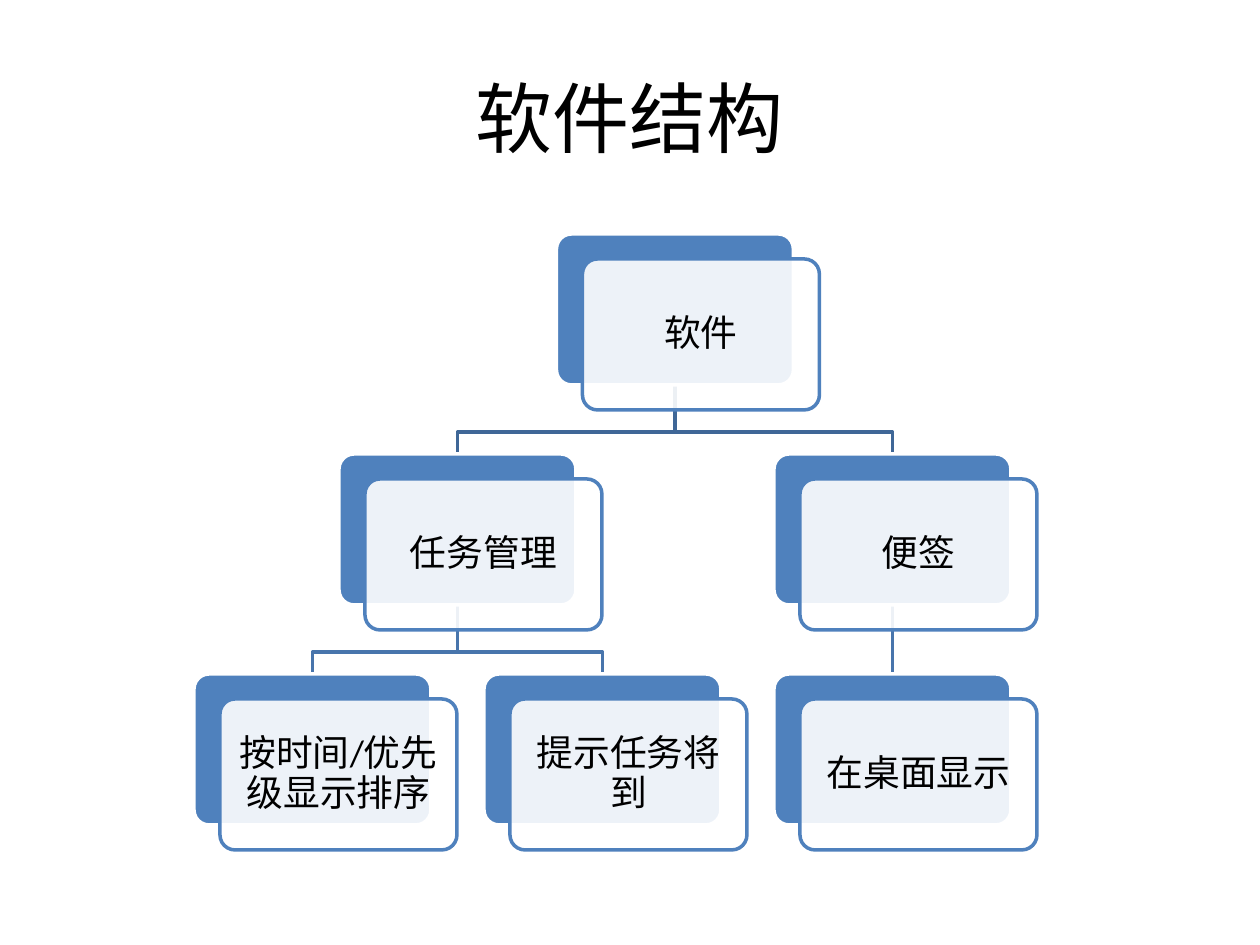
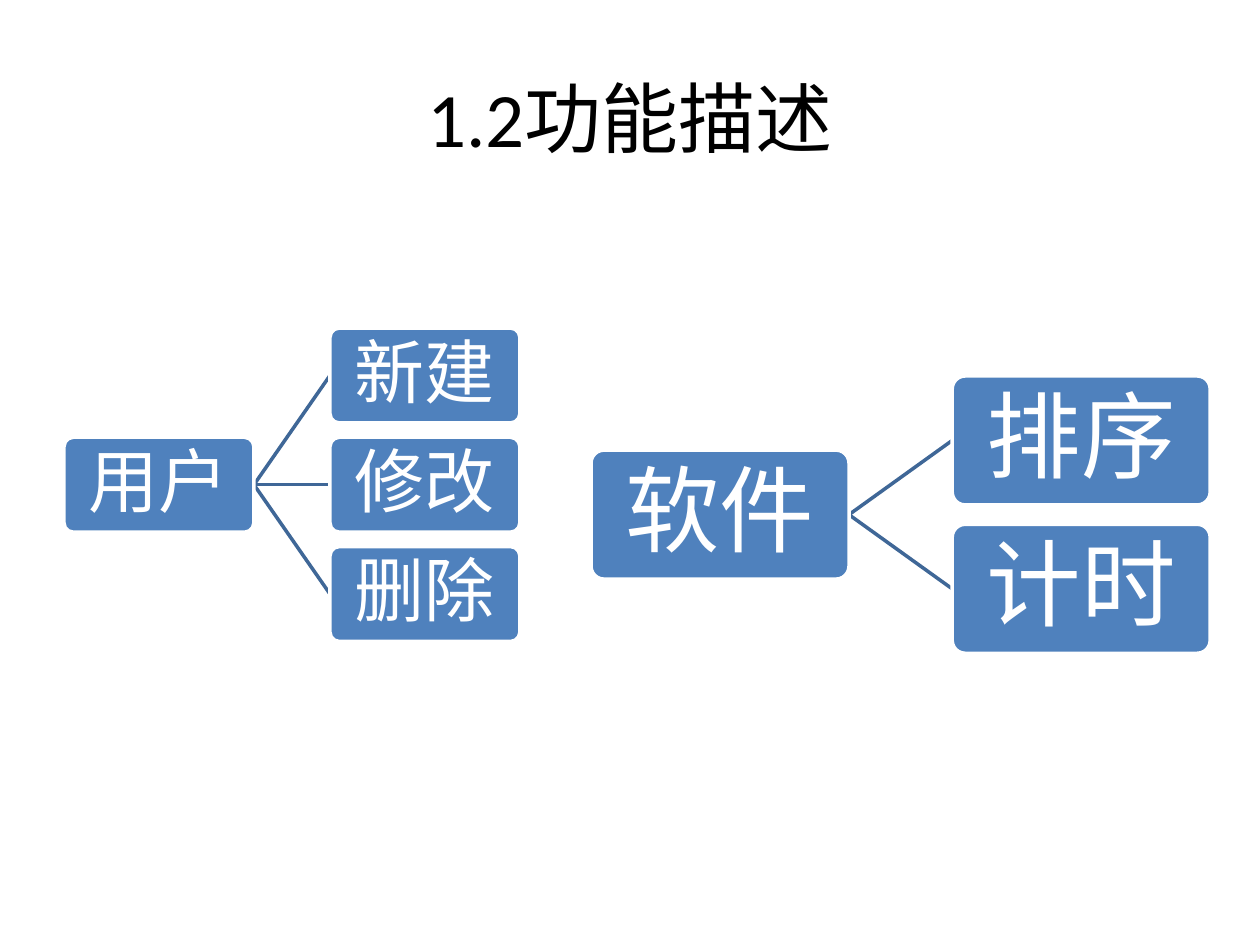
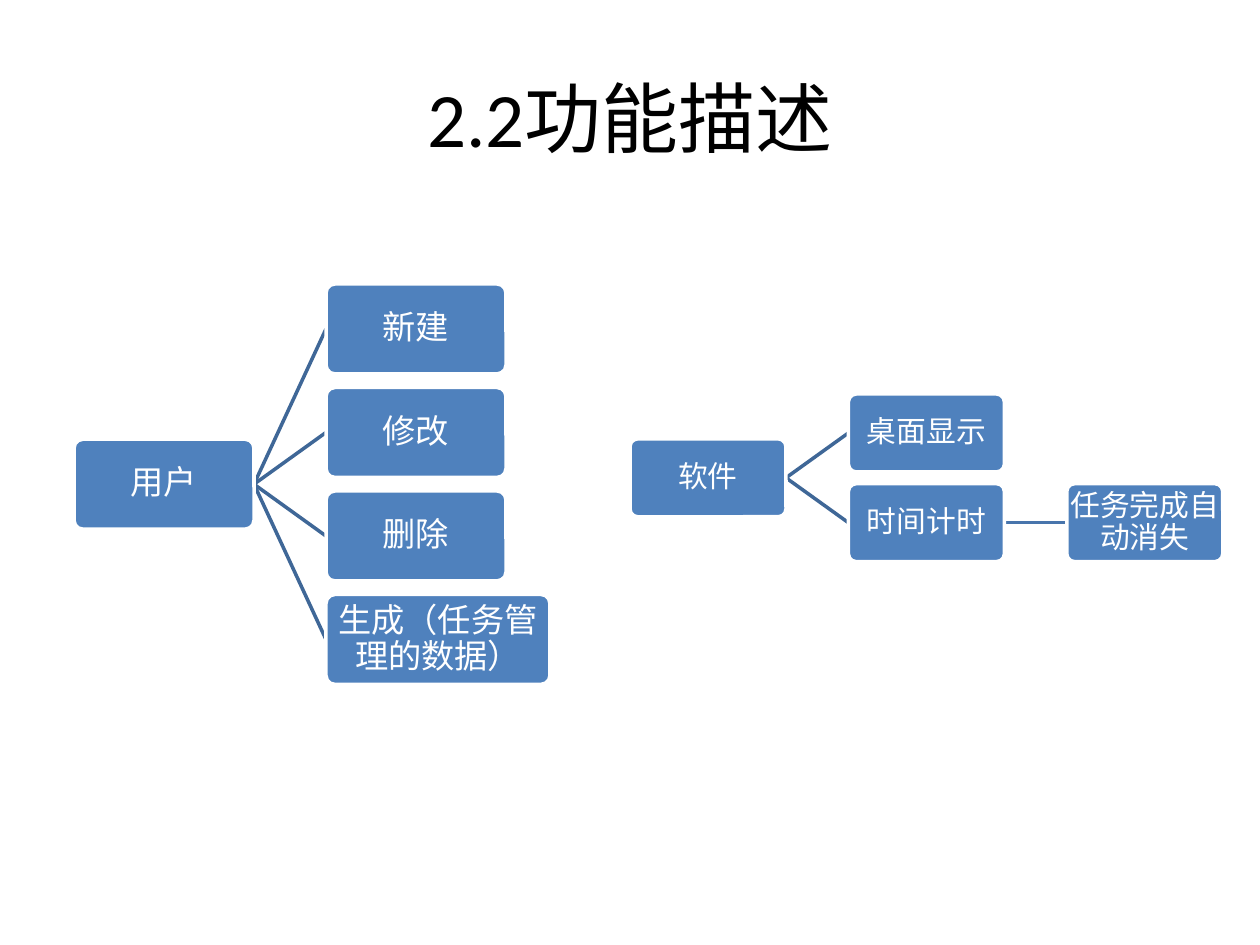
from lxml import etree
from pptx import Presentation
from pptx import util as u
from pptx.dml import color
from pptx.enum import shapes, text
from pptx.oxml import ns

SCALE = 914400 / 126
FONT = "Calibri"
COLORS = {"blue": "4F81BD", "white": "FFFFFF", "black": "000000"}
LINK_COLORS = ["3F6797", "4875AC"]
LINE_WIDTH = 2
TITLE = {"box": (63, 38, 1134, 157), "size": 44}

STRUCTURE = {
    "title": "软件结构",
    "tree": ("软件", [
        ("任务管理", [("按时间/优先级显示排序", []), ("提示任务将到", [])]),
        ("便签", [("在桌面显示", [])]),
    ]),
    "origin": (194, 234), "box": (237, 151), "step": (290, 220),
    "offset": (26, 25), "bend": 22, "size": 21, "inset": 11,
}

FEATURES = [
    ("1.2功能描述", [
        {"tree": ("用户", [("新建", []), ("修改", []), ("删除", [])]),
         "left": 64, "top": 328, "width": 190, "size": 40, "inset": 4},
        {"tree": ("软件", [("排序", []), ("计时", [])]),
         "left": 591, "top": 376, "width": 258, "size": 54, "inset": 5},
    ]),
    ("2.2功能描述", [
        {"tree": ("用户", [("新建", []), ("修改", []), ("删除", []),
                         ("生成（任务管理的数据）", [])]),
         "left": 74, "top": 284, "width": 180, "size": 19, "inset": 0,
         "wide": {"生成（任务管理的数据）": 224}},
        {"tree": ("软件", [("桌面显示", []),
                         ("时间计时", [("任务完成自动消失", [])])]),
         "left": 630, "top": 394, "width": 156, "size": 17, "inset": 0},
    ]),
]


def px(value):
    return u.Emu(round(value * SCALE))


def rgb(value):
    return color.RGBColor.from_string(value)


def assign(target, values):
    for name, value in values.items():
        setattr(target, name, value)


def write(frame, words, size, ink, inset):
    margins = {f"margin_{side}": px(inset) for side in ("left", "top", "right", "bottom")}
    assign(frame, {"word_wrap": True, "vertical_anchor": text.MSO_ANCHOR.MIDDLE, **margins})
    para = frame.paragraphs[0]
    assign(para, {"alignment": text.PP_ALIGN.CENTER, "line_spacing": 0.9})
    span = para.add_run()
    assign(span, {"text": words})
    assign(span.font, {"name": FONT, "size": u.Pt(size)})
    span.font.color.rgb = rgb(ink)


def add_page(deck, title):
    page = deck.slides.add_slide(deck.slide_layouts[5])
    holder = page.shapes.title
    assign(holder, dict(zip(("left", "top", "width", "height"), map(px, TITLE["box"]))))
    write(holder.text_frame, title, TITLE["size"], COLORS["black"], 6)
    holder.text_frame.paragraphs[0].line_spacing = 1.0
    return page


def add_box(page, area, fill, edge):
    box = page.shapes.add_shape(shapes.MSO_SHAPE.ROUNDED_RECTANGLE, *map(px, area))
    box.adjustments[0] = 0.1
    box.shadow.inherit = False
    box.fill.solid()
    box.fill.fore_color.rgb = rgb(fill)
    style_line(box, edge)
    return box


def style_line(shape, ink):
    shape.line.color.rgb = rgb(ink)
    shape.line.width = u.Pt(LINE_WIDTH)


def add_link(page, start, end, ink):
    link = page.shapes.add_connector(
        shapes.MSO_CONNECTOR.STRAIGHT, *map(px, (*start, *end)))
    style_line(link, ink)
    etree.SubElement(link._element.spPr, ns.qn("a:effectLst"))


def add_elbow(page, start, end, bend, ink):
    turn = end[1] - bend
    points = [tuple(map(px, point)) for point in
              (start, (start[0], turn), (end[0], turn), end)]
    builder = page.shapes.build_freeform(*points[0])
    builder.add_line_segments(points[1:], close=False)
    elbow = builder.convert_to_shape()
    elbow.shadow.inherit = False
    elbow.fill.background()
    style_line(elbow, ink)


def arrange(node, depth=0, first=0):
    label, children = node
    nodes, links, slots, used = [], [], [], 0
    for child in children:
        slot, below, lower, leaves = arrange(child, depth + 1, first + used)
        slots.append(slot)
        nodes += below
        links += lower
        used += leaves
    slot = (slots[0] + slots[-1]) / 2 if slots else first
    links = [(depth, slot, other) for other in slots] + links
    return slot, [(label, depth, slot)] + nodes, links, max(used, 1)


def draw_structure(page, chart):
    (left, top), (width, height) = chart["origin"], chart["box"]
    across, down = chart["step"]
    shift_x, shift_y = chart["offset"]
    nodes, links = arrange(chart["tree"])[1:3]
    for depth, parent, child in links:
        start = (left + parent * across + width / 2, top + depth * down + height)
        end = (left + child * across + width / 2, top + (depth + 1) * down)
        if parent == child:
            add_link(page, start, end, LINK_COLORS[depth])
        else:
            add_elbow(page, start, end, chart["bend"], LINK_COLORS[depth])
    for label, depth, slot in nodes:
        x, y = left + slot * across, top + depth * down
        add_box(page, (x, y, width, height), COLORS["blue"], COLORS["white"])
        card = add_box(page, (x + shift_x, y + shift_y, width, height),
                       COLORS["white"], COLORS["blue"])
        tint = card._element.spPr.find(ns.qn("a:solidFill"))[0]
        etree.SubElement(tint, ns.qn("a:alpha"), val="90000")
        write(card.text_frame, label, chart["size"], COLORS["black"], chart["inset"])


def draw_features(page, chart):
    left, top, width = chart["left"], chart["top"], chart["width"]
    height = width / 2
    across, down = width * 1.4, height * 1.15
    nodes, links = arrange(chart["tree"])[1:3]
    for depth, parent, child in links:
        x, y = left + depth * across, top + height / 2
        add_link(page, (x + width, y + parent * down),
                 (x + across, y + child * down), LINK_COLORS[depth])
    for label, depth, slot in nodes:
        area = (left + depth * across, top + slot * down,
                chart.get("wide", {}).get(label, width), height)
        box = add_box(page, area, COLORS["blue"], COLORS["white"])
        write(box.text_frame, label, chart["size"], COLORS["white"], chart["inset"])


deck = Presentation()
assign(deck, {"slide_width": px(1260), "slide_height": px(945)})
draw_structure(add_page(deck, STRUCTURE["title"]), STRUCTURE)
for title, charts in FEATURES:
    page = add_page(deck, title)
    for chart in charts:
        draw_features(page, chart)
deck.save("out.pptx")
